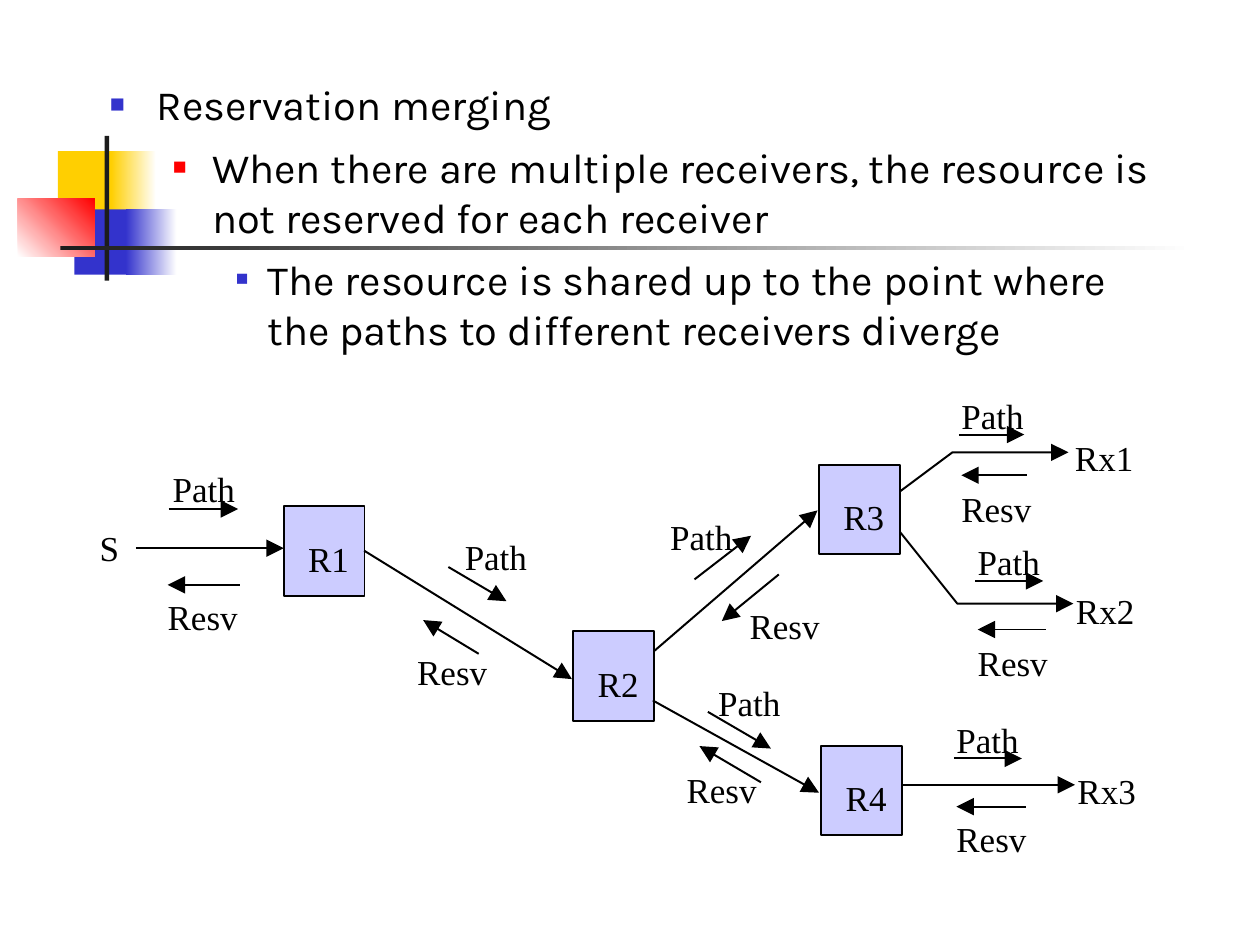
import pptx
import pptx.dml.color
import pptx.enum.shapes
import pptx.enum.text
import pptx.oxml
import pptx.oxml.ns
import pptx.util
from lxml import etree

Cm, Pt, qn = pptx.util.Cm, pptx.util.Pt, pptx.oxml.ns.qn
RECTANGLE = pptx.enum.shapes.MSO_SHAPE.RECTANGLE
COLORS = {
    "black": "000000", "white": "FFFFFF", "yellow": "FFCF01", "blue": "3333CC",
    "red": "FF0000", "charcoal": "1C1C1C", "lavender": "CCCCFF",
}
RGB = {name: pptx.dml.color.RGBColor.from_string(value) for name, value in COLORS.items()}
BODY_FONT = {"name": "Karla", "size": Pt(23.8)}
LABEL_FONT = {"name": "Times New Roman", "size": Pt(20)}
NO_INSETS = {"margin_left": 0, "margin_top": 0, "margin_right": 0, "margin_bottom": 0,
             "word_wrap": False, "vertical_anchor": pptx.enum.text.MSO_ANCHOR.TOP}


def write(paragraph, text, font_format):
    paragraph.text = text
    for attribute, value in font_format.items():
        setattr(paragraph.font, attribute, value)
    paragraph.font.color.rgb = RGB["black"]


def draw_arrow(points):
    points = [(Cm(x), Cm(y)) for x, y in points]
    if len(points) == 2:
        arrow = slide.shapes.add_connector(
            pptx.enum.shapes.MSO_CONNECTOR.STRAIGHT, *points[0], *points[1])
    else:
        builder = slide.shapes.build_freeform(*points[0])
        builder.add_line_segments(points[1:], close=False)
        arrow = builder.convert_to_shape()
        arrow.fill.background()
    arrow.line.color.rgb = RGB["black"]
    arrow.line.width = Pt(1.13)
    etree.SubElement(arrow.line._get_or_add_ln(), qn("a:tailEnd"), type="triangle", w="lg", len="lg")
    etree.SubElement(arrow._element.spPr, qn("a:effectLst"))


presentation = pptx.Presentation()
presentation.slide_width, presentation.slide_height = Cm(25.4), Cm(19.05)
slide = presentation.slides.add_slide(presentation.slide_layouts[1])
title, body = slide.placeholders
title._element.getparent().remove(title._element)

# Corner decoration: box, first colour, second colour, gradient angle
decorations = [
    ((1.17, 3.05, 1.22, 1.32), "yellow", None, 0),
    ((2.24, 3.05, 0.91, 1.32), "yellow", "white", 0),
    ((1.5, 4.22, 1.17, 1.32), "blue", None, 0),
    ((2.54, 4.22, 1.02, 1.32), "blue", "white", 0),
    ((0.36, 4.01, 1.55, 1.17), "white", "red", 45),
    ((2.11, 2.74, 0.09, 2.92), "charcoal", None, 0),
    ((1.22, 4.95, 22.86, 0.09), "charcoal", "white", 0),
]
for box, first, second, angle in decorations:
    shape = slide.shapes.add_shape(RECTANGLE, *map(Cm, box))
    shape.shadow.inherit = False
    shape.line.fill.background()
    if second is None:
        shape.fill.solid()
        shape.fill.fore_color.rgb = RGB[first]
    else:
        shape.fill.gradient()
        shape.fill.gradient_angle = angle
        for stop, color in zip(shape.fill.gradient_stops, (first, second)):
            stop.color.rgb = RGB[color]

# Bulleted text, in front of the decoration
slide.shapes._spTree.append(body._element)
body_box = {"left": Cm(1.96), "top": Cm(1.47), "width": Cm(21.59), "height": Cm(6.99)}
for attribute, value in body_box.items():
    setattr(body, attribute, value)
body.text_frame.auto_size = pptx.enum.text.MSO_AUTO_SIZE.NONE
body.text_frame.vertical_anchor = pptx.enum.text.MSO_ANCHOR.TOP
# Text, left margin, hanging indent, bullet colour, bullet size in percent
bullets = [
    ("Reservation merging", 0.95, 0.95, "blue", 60),
    ("When there are multiple receivers, the resource is not reserved for each receiver",
     2.06, 0.79, "red", 55),
    ("The resource is shared up to the point where the paths to different receivers diverge",
     3.18, 0.64, "blue", 50),
]
for level, (text, margin, hanging, color, percent) in enumerate(bullets):
    paragraph = body.text_frame.paragraphs[0] if level == 0 else body.text_frame.add_paragraph()
    paragraph.level = level
    properties = paragraph._p.get_or_add_pPr()
    properties.set("marL", str(Cm(margin)))
    properties.set("indent", str(-Cm(hanging)))
    bullet_color = etree.SubElement(properties, qn("a:buClr"))
    etree.SubElement(bullet_color, qn("a:srgbClr"), val=COLORS[color])
    etree.SubElement(properties, qn("a:buSzPct"), val=str(percent * 1000))
    etree.SubElement(properties, qn("a:buFont"), typeface="Arial")
    etree.SubElement(properties, qn("a:buChar"), char="■")
    paragraph.space_before = Pt(7 if level else 0)
    write(paragraph, text, BODY_FONT)

# Routers
routers = {"R1": (5.72, 10.21), "R2": (11.56, 12.73), "R3": (16.51, 9.37), "R4": (16.56, 15.04)}
for name, (left, top) in routers.items():
    router = slide.shapes.add_shape(RECTANGLE, Cm(left), Cm(top), Cm(1.63), Cm(1.8))
    router.shadow.inherit = False
    router.fill.solid()
    router.fill.fore_color.rgb = RGB["lavender"]
    router.line.color.rgb = RGB["black"]
    router.line.width = Pt(1.13)
    for attribute, value in {**NO_INSETS, "margin_left": Cm(0.49), "margin_top": Cm(0.62)}.items():
        setattr(router.text_frame, attribute, value)
    paragraph = router.text_frame.paragraphs[0]
    paragraph.alignment = pptx.enum.text.PP_ALIGN.LEFT
    write(paragraph, name, LABEL_FONT)

# Links between sender, routers and receivers
links = [
    [(2.74, 11.05), (5.72, 11.05)],
    [(7.34, 11.1), (11.53, 13.69)],
    [(13.18, 13.13), (16.48, 10.29)],
    [(13.16, 14.12), (16.51, 15.98)],
    [(18.14, 9.91), (19.2, 9.12), (21.54, 9.12)],
    [(18.14, 10.72), (19.3, 12.17), (21.64, 12.17)],
    [(18.19, 15.82), (21.67, 15.82)],
]
for link in links:
    draw_arrow(link)

# Messages on each link: label position, arrow start, arrow tip
messages = {
    "Path": [
        ((3.48, 9.42), (3.4, 10.26), (4.8, 10.26)),
        ((9.37, 10.8), (9.04, 11.43), (10.21, 12.12)),
        ((13.51, 10.39), (14, 11.68), (15.14, 10.8)),
        ((14.48, 13.74), (14.27, 14.35), (15.54, 15.09)),
        ((19.38, 7.95), (19.33, 8.76), (20.65, 8.76)),
        ((19.71, 10.9), (19.66, 11.71), (21.03, 11.71)),
        ((19.28, 14.48), (19.23, 15.29), (20.6, 15.29)),
    ],
    "Resv": [
        ((3.38, 12.01), (4.83, 11.79), (3.38, 11.79)),
        ((8.41, 13.11), (9.65, 13.18), (8.53, 12.5)),
        ((15.11, 12.19), (15.7, 11.58), (14.55, 12.52)),
        ((13.84, 15.49), (15.34, 15.77), (14.1, 15.04)),
        ((19.38, 9.83), (20.7, 9.58), (19.38, 9.58)),
        ((19.71, 12.93), (21.08, 12.69), (19.71, 12.69)),
        ((19.28, 16.48), (20.68, 16.26), (19.28, 16.26)),
    ],
}
labels = [("S", (2.01, 10.62)), ("Rx1", (21.67, 8.79)), ("Rx2", (21.69, 11.89)), ("Rx3", (21.72, 15.52))]
for name, entries in messages.items():
    for position, start, tip in entries:
        draw_arrow([start, tip])
        labels.append((name, position))

# Labels of end points and messages
label_widths = {"S": 0.4, "Rx1": 1.2, "Rx2": 1.2, "Rx3": 1.2, "Path": 1.27, "Resv": 1.42}
label_format = {**NO_INSETS, "auto_size": pptx.enum.text.MSO_AUTO_SIZE.SHAPE_TO_FIT_TEXT}
for text, (left, top) in labels:
    label = slide.shapes.add_textbox(Cm(left), Cm(top), Cm(label_widths[text]), Cm(0.84))
    for attribute, value in label_format.items():
        setattr(label.text_frame, attribute, value)
    write(label.text_frame.paragraphs[0], text, LABEL_FONT)

presentation.save("out.pptx")
